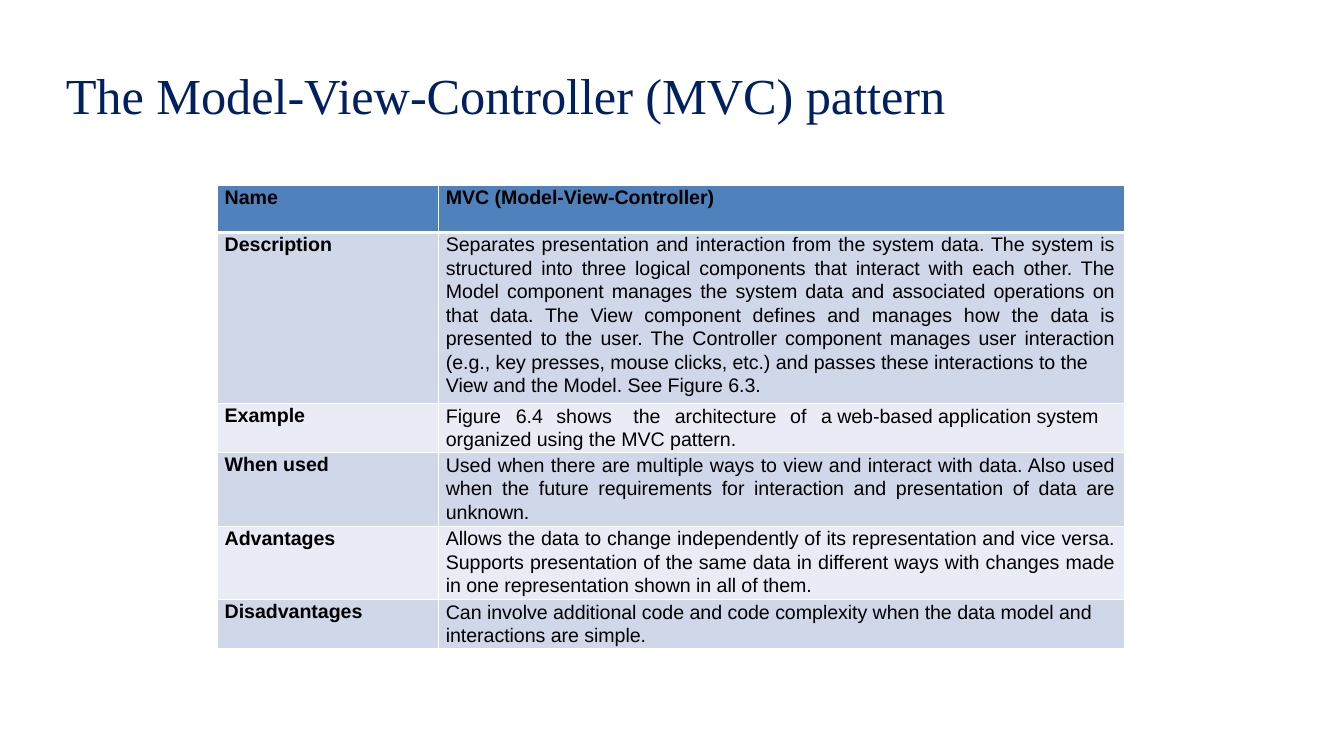
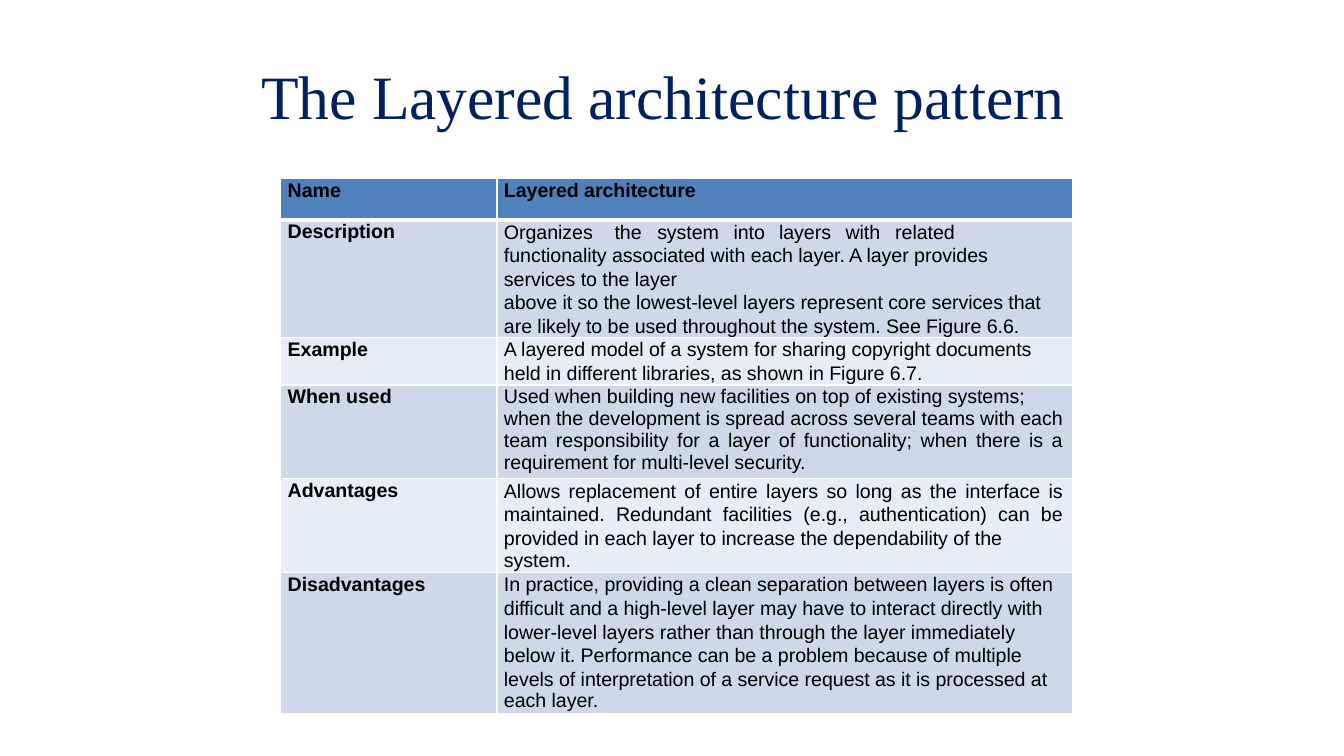
"""Build two slides that describe architecture patterns in tables."""
from lxml.etree import SubElement
from pptx import Presentation
from pptx.dml.color import RGBColor
from pptx.enum.text import MSO_ANCHOR, PP_ALIGN
from pptx.oxml.ns import qn
from pptx.util import Pt

NAVY, BLACK, WHITE = "002060", "000000", "FFFFFF"
HEADER, BANDS = "4F81BC", ("D0D7E8", "E9ECF4")
TITLE_FONT, TABLE_FONT = "Times New Roman", "Arial"
LEFT, JUST = PP_ALIGN.LEFT, PP_ALIGN.JUSTIFY
LABEL_LEADING, LEADING, TAIL_LEADING = 16.4, 16.8, 15.6

SLIDES = [
    {
        "title": "The Model-View-Controller (MVC) pattern",
        "title_box": (46, 44.5, 742, 45),
        "title_size": 36,
        "table_at": (155.5, 132.5),
        "cols": (158, 490),
        "heights": (33.5, 122.5, 35, 52.5, 52.5, 35),
        "tabs": (50, 79, 134, 163.5, 246, 268),
        "rows": [
            ("Name", [("MVC (Model-View-Controller)", LEFT, LABEL_LEADING)]),
            ("Description", [
                ("Separates presentation and interaction from the system data. The system is "
                 "structured into three logical components that interact with each other. The "
                 "Model component manages the system data and associated operations on "
                 "that data. The View component defines and manages how the data is "
                 "presented to the user. The Controller component manages user interaction "
                 "(e.g., key presses, mouse clicks, etc.) and passes these interactions to the",
                 JUST, LEADING),
                ("View and the Model. See Figure 6.3.", JUST, 16.2)]),
            ("Example", [
                ("Figure\t6.4\tshows\tthe\tarchitecture\tof\ta web-based application system "
                 "organized using the MVC pattern.", LEFT, LEADING)]),
            ("When used", [
                ("Used when there are multiple ways to view and interact with data. Also used "
                 "when the future requirements for interaction and presentation of data are "
                 "unknown.", JUST, LEADING)]),
            ("Advantages", [
                ("Allows the data to change independently of its representation and vice versa. "
                 "Supports presentation of the same data in different ways with changes made "
                 "in one representation shown in all of them.", JUST, LEADING)]),
            ("Disadvantages", [
                ("Can involve additional code and code complexity when the data model and "
                 "interactions are simple.", LEFT, LEADING)]),
        ],
    },
    {
        "title": "The Layered architecture pattern",
        "title_box": (185.5, 40, 589, 55),
        "title_size": 44,
        "table_at": (200.5, 127.5),
        "cols": (154.5, 411.5),
        "heights": (29.5, 67, 34, 67, 67, 101),
        "tabs": (79, 109.5, 164, 196.5, 244, 279.5, 332.5),
        "rows": [
            ("Name", [("Layered architecture", LEFT, LABEL_LEADING)]),
            ("Description", [
                ("Organizes\tthe\tsystem\tinto\tlayers\twith\trelated\tfunctionality "
                 "associated with each layer. A layer provides services to the layer",
                 LEFT, LEADING),
                ("above it so the lowest-level layers represent core services that are likely "
                 "to be used throughout the system. See Figure 6.6.", LEFT, LEADING)]),
            ("Example", [
                ("A layered model of a system for sharing copyright documents held in "
                 "different libraries, as shown in Figure 6.7.", LEFT, LEADING)]),
            ("When used", [
                ("Used when building new facilities on top of existing systems;",
                 JUST, LABEL_LEADING),
                ("when the development is spread across several teams with each team "
                 "responsibility for a layer of functionality; when there is a requirement "
                 "for multi-level security.", JUST, None)]),
            ("Advantages", [
                ("Allows replacement of entire layers so long as the interface is maintained. "
                 "Redundant facilities (e.g., authentication) can be provided in each layer "
                 "to increase the dependability of the", JUST, LEADING),
                ("system.", LEFT, TAIL_LEADING)]),
            ("Disadvantages", [
                ("In practice, providing a clean separation between layers is often difficult "
                 "and a high-level layer may have to interact directly with lower-level layers "
                 "rather than through the layer immediately below it. Performance can be a "
                 "problem because of multiple levels of interpretation of a service request "
                 "as it is processed at", LEFT, LEADING),
                ("each layer.", LEFT, TAIL_LEADING)]),
        ],
    },
]


def rgb(color):
    """Turn a hex string into a colour."""
    return RGBColor.from_string(color)


def write(p, text, font, size, color, bold=False, tabs=()):
    """Fill a paragraph with slightly tightened text."""
    r = p.add_run()
    r.text = text
    r._r.get_or_add_rPr().set("spc", "-5")
    if tabs:
        stops = SubElement(p._p.get_or_add_pPr(), qn("a:tabLst"))
        for pos in tabs:
            SubElement(stops, qn("a:tab"), pos=str(Pt(pos)), algn="l")
    p.font.name, p.font.size, p.font.bold = font, Pt(size), bold
    p.font.color.rgb = rgb(color)


def add_title(s, text, box, size):
    """Add the slide title."""
    tf = s.shapes.add_textbox(*map(Pt, box)).text_frame
    tf.word_wrap = True
    tf.vertical_anchor = MSO_ANCHOR.MIDDLE
    tf.margin_left = tf.margin_top = Pt(1)
    tf.margin_right = tf.margin_bottom = 0
    write(tf.paragraphs[0], text, TITLE_FONT, size, NAVY)


def style_cell(cell, fill, top, bottom):
    """Set the margins, white borders and fill of a cell."""
    cell.margin_left, cell.margin_right = Pt(5), Pt(7.5)
    cell.margin_top = cell.margin_bottom = 0
    tcPr = cell._tc.get_or_add_tcPr()
    for side, width in (("L", 1), ("R", 1), ("T", top), ("B", bottom)):
        ln = SubElement(tcPr, qn(f"a:ln{side}"), w=str(Pt(width)))
        SubElement(SubElement(ln, qn("a:solidFill")), qn("a:srgbClr"), val=WHITE)
    cell.fill.solid()
    cell.fill.fore_color.rgb = rgb(fill)


def add_pattern_table(s, at, cols, heights, rows, tabs):
    """Add the table with a header row and banded rows."""
    table = s.shapes.add_table(len(rows), len(cols), *map(Pt, (*at, sum(cols), sum(heights)))).table
    for col, width in zip(table.columns, cols):
        col.width = Pt(width)
    for i, (label, body) in enumerate(rows):
        table.rows[i].height = Pt(heights[i])
        fill = BANDS[(i - 1) % 2] if i else HEADER
        for j, paras in enumerate(([(label, LEFT, LABEL_LEADING)], body)):
            cell = table.cell(i, j)
            style_cell(cell, fill, 3 if i == 1 else 1, 3 if i == 0 else 1)
            tf = cell.text_frame
            for k, (text, align, leading) in enumerate(paras):
                p = tf.add_paragraph() if k else tf.paragraphs[0]
                p.alignment = align
                if leading:
                    p.line_spacing = Pt(leading)
                write(p, text, TABLE_FONT, 14, BLACK, i == 0 or j == 0,
                      tabs if "\t" in text else ())


def main():
    """Build and save the presentation."""
    prs = Presentation()
    prs.slide_width, prs.slide_height = Pt(960), Pt(540)
    for d in SLIDES:
        s = prs.slides.add_slide(prs.slide_layouts[6])
        add_title(s, d["title"], d["title_box"], d["title_size"])
        add_pattern_table(s, d["table_at"], d["cols"], d["heights"], d["rows"], d["tabs"])
    prs.save("out.pptx")


if __name__ == "__main__":
    main()
